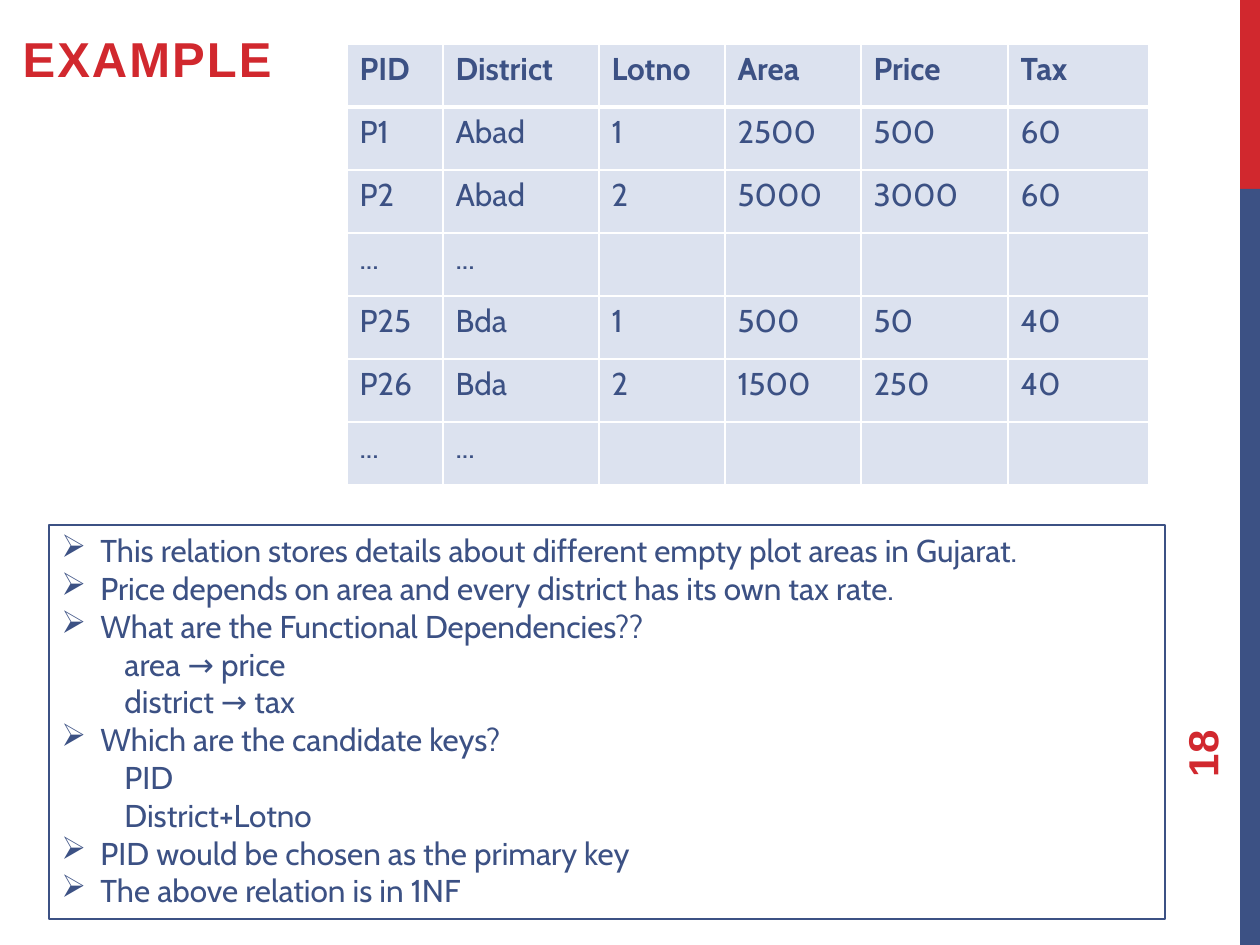
from lxml.etree import SubElement
from pptx import Presentation
from pptx.dml.color import RGBColor
from pptx.enum.shapes import MSO_SHAPE
from pptx.enum.text import MSO_ANCHOR, MSO_AUTO_SIZE, PP_ALIGN
from pptx.oxml.ns import qn
from pptx.util import Emu, Pt

RED = RGBColor(0xD1, 0x28, 0x2E)
NAVY = RGBColor(0x3C, 0x51, 0x84)
PALE = RGBColor(0xDC, 0xE2, 0xEF)
WHITE = RGBColor(0xFF, 0xFF, 0xFF)

HEAD = {"name": "Arial", "size": Pt(28), "bold": True}
PAGE = {"name": "Arial", "size": Pt(24), "bold": True}
BODY = {"name": "Cabin", "size": Pt(18), "bold": False}

COLS = [96, 156, 126, 136, 147, 141]
ROW = 63
PLOTS = [
    ["PID", "District", "Lotno", "Area", "Price", "Tax"],
    ["P1", "Abad", "1", "2500", "500", "60"],
    ["P2", "Abad", "2", "5000", "3000", "60"],
    ["...", "...", "", "", "", ""],
    ["P25", "Bda", "1", "500", "50", "40"],
    ["P26", "Bda", "2", "1500", "250", "40"],
    ["...", "...", "", "", "", ""],
]
NOTES = [
    (0, "This relation stores details about different empty plot areas in Gujarat."),
    (0, "Price depends on area and every district has its own tax rate."),
    (0, "What are the Functional Dependencies??"),
    (1, "area → price"),
    (1, "district → tax"),
    (0, "Which are the candidate keys?"),
    (1, "PID"),
    (1, "District+Lotno"),
    (0, "PID would be chosen as the primary key"),
    (0, "The above relation is in 1NF"),
]


def px(num):
    return Emu(round(num * 914400 / 126))


class Deck:
    def __init__(self):
        self.prs = Presentation()
        self.prs.slide_width, self.prs.slide_height = px(1260), px(945)
        self.slide = self.prs.slides.add_slide(self.prs.slide_layouts[5])

    def label(self, par, text, style, color):
        par.alignment = PP_ALIGN.LEFT
        run = par.add_run()
        run.text = text
        for key, val in style.items():
            setattr(run.font, key, val)
        run.font.color.rgb = color
        return run

    def title(self, text, *box):
        shape = self.slide.shapes.title
        for key, val in zip(("left", "top", "width", "height"), box):
            setattr(shape, key, px(val))
        frame = shape.text_frame
        frame.auto_size = MSO_AUTO_SIZE.NONE
        frame.vertical_anchor = MSO_ANCHOR.BOTTOM
        par = frame.paragraphs[0]
        par.space_after = Pt(6)
        run = self.label(par, text, HEAD, RED)
        run._r.get_or_add_rPr().set("spc", "120")

    def rect(self, *box, fill=None, line=None):
        shape = self.slide.shapes.add_shape(MSO_SHAPE.RECTANGLE, *map(px, box))
        shape.shadow.inherit = False
        if fill is None:
            shape.fill.background()
        else:
            shape.fill.solid()
            shape.fill.fore_color.rgb = fill
        if line is None:
            shape.line.fill.background()
        else:
            shape.line.color.rgb = line
            shape.line.width = Pt(0.75)
        return shape

    def number(self, text, *box):
        shape = self.slide.shapes.add_textbox(*map(px, box))
        shape.rotation = 270
        frame = shape.text_frame
        frame.word_wrap = True
        frame.vertical_anchor = MSO_ANCHOR.MIDDLE
        self.label(frame.paragraphs[0], text, PAGE, RED)

    def notes(self, items, *box):
        frame = self.rect(*box, line=NAVY).text_frame
        frame.word_wrap = True
        frame.auto_size = MSO_AUTO_SIZE.SHAPE_TO_FIT_TEXT
        frame.vertical_anchor = MSO_ANCHOR.TOP
        for i, (level, text) in enumerate(items):
            par = frame.add_paragraph() if i else frame.paragraphs[0]
            par.level = level
            self.label(par, text, BODY, NAVY)
            props = par._p.get_or_add_pPr()
            left, hang = (px(63), 0) if level else (px(39), -px(39))
            props.set("marL", str(left))
            props.set("indent", str(hang))
            if not level:
                SubElement(props, qn("a:buChar"), char="➢")

    def border(self, cell, widths):
        props = cell._tc.get_or_add_tcPr()
        for side, width in zip("LRTB", widths):
            line = SubElement(props, qn("a:ln" + side), w=str(Pt(width)))
            fill = SubElement(line, qn("a:solidFill"))
            SubElement(fill, qn("a:srgbClr"), val=str(WHITE))

    def table(self, rows, cols, left, top):
        size = map(px, (left, top, sum(cols), ROW * len(rows)))
        grid = self.slide.shapes.add_table(len(rows), len(cols), *size).table
        for col, width in zip(grid.columns, cols):
            col.width = px(width)
        for r, row in enumerate(rows):
            for c, text in enumerate(row):
                cell = grid.cell(r, c)
                # A thick rule parts the header from the body
                self.border(cell, (1, 1, 3 if r == 1 else 1, 3 if r == 0 else 1))
                cell.fill.solid()
                cell.fill.fore_color.rgb = PALE
                if text:
                    style = {**BODY, "bold": r == 0}
                    self.label(cell.text_frame.paragraphs[0], text, style, NAVY)


def main():
    deck = Deck()
    # Side bar and page number
    deck.rect(1240, 0, 20, 189, fill=RED)
    deck.rect(1240, 189, 20, 756, fill=NAVY)
    deck.number("18", 1111, 674, 181, 50)
    # Title, relation and notes
    deck.title("EXAMPLE", 10, 10, 291, 84)
    deck.table(PLOTS, COLS, 347, 44)
    deck.notes(NOTES, 49, 525, 1116, 394)
    deck.prs.save("out.pptx")


if __name__ == "__main__":
    main()
